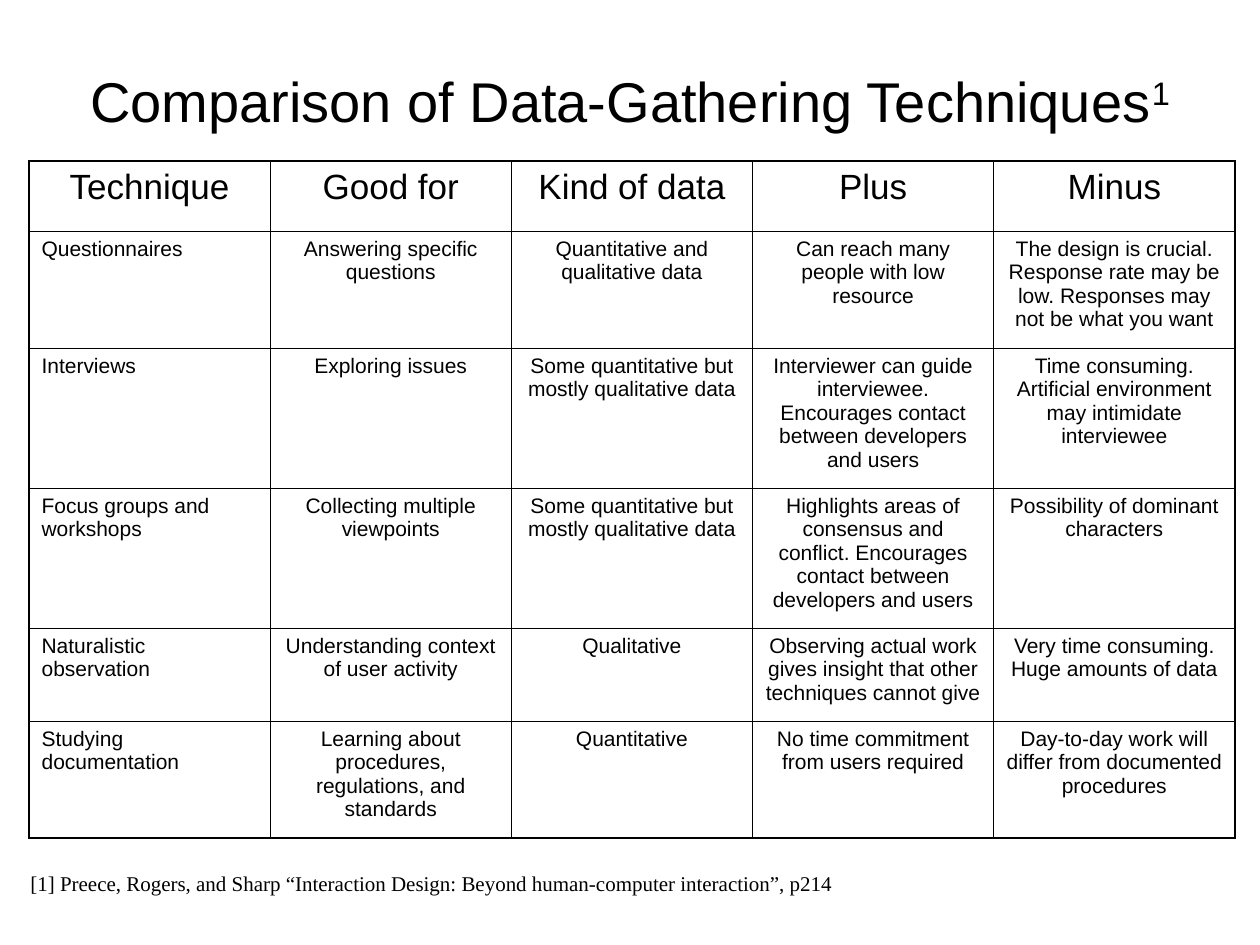
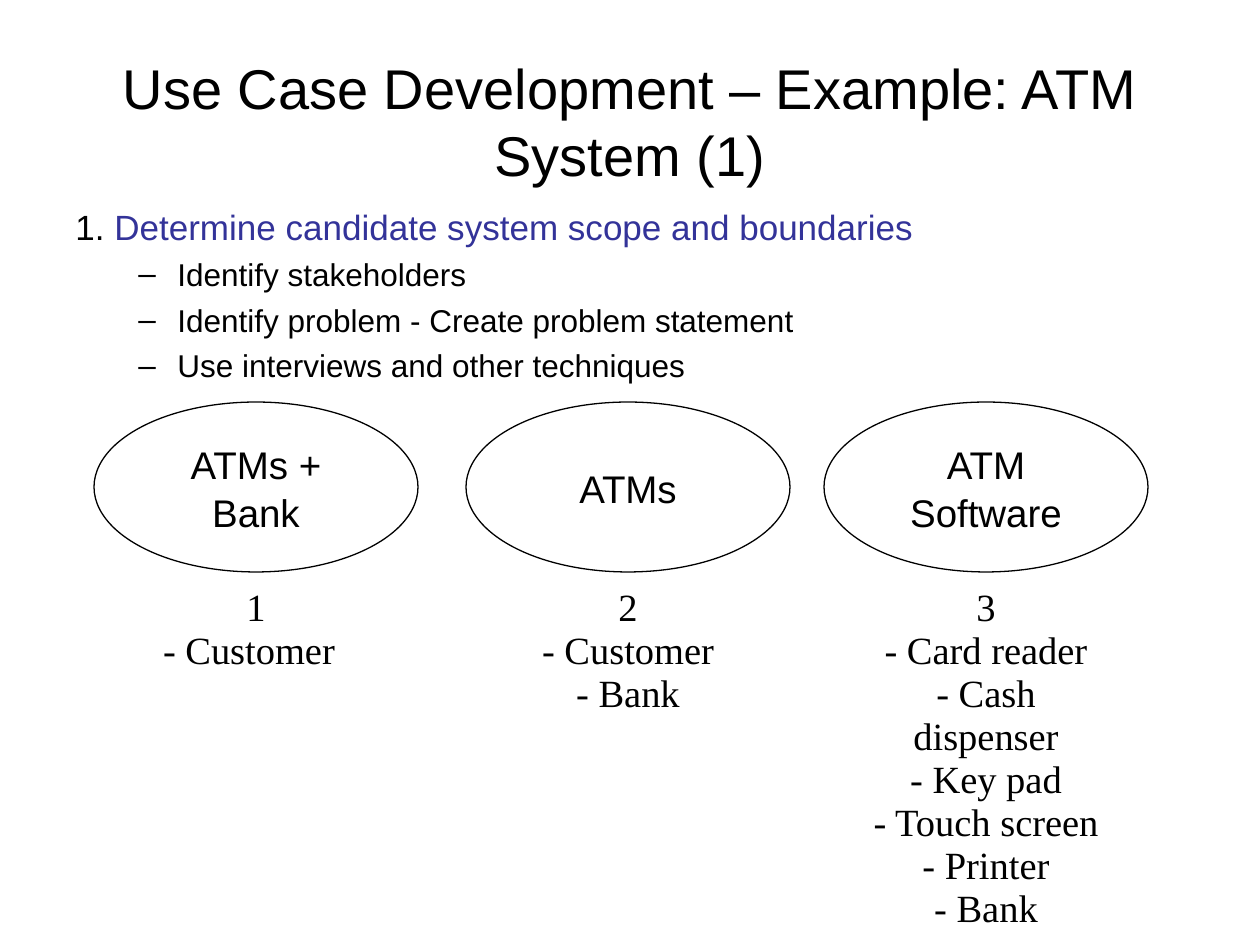
from lxml import etree
from pptx import Presentation
from pptx import util as u
from pptx.dml.color import RGBColor
from pptx.enum import shapes, text
from pptx.oxml import ns

COLORS = {"ink": "000000", "accent": "333399"}
SANS, SERIF = "Arial", "Times New Roman"
THIN, THICK = 0.45, 1.08
CENTER, LEFT = text.PP_ALIGN.CENTER, text.PP_ALIGN.LEFT

HEADINGS = ["Technique", "Good for", "Kind of data", "Plus", "Minus"]
TECHNIQUES = [
    ["Questionnaires", "Answering specific questions",
     "Quantitative and qualitative data",
     "Can reach many people with low resource",
     "The design is crucial. Response rate may be low. "
     "Responses may not be what you want"],
    ["Interviews", "Exploring issues",
     "Some quantitative but mostly qualitative data",
     "Interviewer can guide interviewee. "
     "Encourages contact between developers and users",
     "Time consuming. Artificial environment may intimidate interviewee"],
    ["Focus groups and workshops", "Collecting multiple viewpoints",
     "Some quantitative but mostly qualitative data",
     "Highlights areas of consensus and conflict. "
     "Encourages contact between developers and users",
     "Possibility of dominant characters"],
    ["Naturalistic observation", "Understanding context of user activity",
     "Qualitative",
     "Observing actual work gives insight that other techniques cannot give",
     "Very time consuming. Huge amounts of data"],
    ["Studying documentation",
     "Learning about procedures, regulations, and standards",
     "Quantitative", "No time commitment from users required",
     "Day-to-day work will differ from documented procedures"],
]
ROW_HEIGHTS = [70, 117, 140, 140, 93, 117]

STEPS = ["Identify stakeholders", "Identify problem - Create problem statement",
         "Use interviews and other techniques"]
SCOPES = [
    (94, "ATMs + Bank", 208, ["Customer"]),
    (466, "ATMs", 194, ["Customer", "Bank"]),
    (824, "ATM Software", 275, ["Card reader", "Cash dispenser", "Key pad",
                                "Touch screen", "Printer", "Bank"]),
]


def px(n):
    """Turn pixels at 126 to the inch into EMU."""
    return u.Emu(round(n * 914400 / 126))


def write(tf, content, size=12, font=SANS, color="ink", align=LEFT,
          spacing=None, before=0, sup=False, p=None):
    """Add a run to the given paragraph, or to a new one, and return it."""
    if p is None:
        p = tf.paragraphs[0]
        if p.runs:
            p = tf.add_paragraph()
        p.alignment = align
        p.space_before = u.Pt(before)
        if spacing:
            p.line_spacing = spacing
    r = p.add_run()
    r.text = content
    r.font.size = u.Pt(size)
    r.font.name = font
    r.font.color.rgb = RGBColor.from_string(COLORS[color])
    if sup:
        r.font._element.set("baseline", "30000")
    return p


def indent(p, left, hang, bullet=None):
    """Give a paragraph a hanging indent and an optional bullet sign."""
    pPr = p._p.get_or_add_pPr()
    pPr.set("marL", str(px(left)))
    pPr.set("indent", str(-px(hang)))
    if bullet:
        etree.SubElement(pPr, ns.qn("a:buFont"), typeface=SANS)
        etree.SubElement(pPr, ns.qn("a:buChar"), char=bullet)


def text_box(s, x, y, w, h):
    """Add a wrapping text box and return its frame."""
    tf = s.shapes.add_textbox(px(x), px(y), px(w), px(h)).text_frame
    tf.word_wrap = True
    return tf


def titled_slide(prs, title, top):
    """Add a title-only slide and return it with its title paragraph."""
    s = prs.slides.add_slide(prs.slide_layouts[5])
    sp = s.shapes.title
    sp.left, sp.top, sp.width, sp.height = px(63), px(top), px(1134), px(158)
    tf = sp.text_frame
    tf.auto_size = text.MSO_AUTO_SIZE.NONE
    tf.vertical_anchor = text.MSO_ANCHOR.MIDDLE
    return s, write(tf, title, size=32, align=CENTER)


def border(cell, side, width):
    """Draw one solid edge of a table cell."""
    ln = etree.SubElement(cell._tc.get_or_add_tcPr(), ns.qn(f"a:ln{side}"),
                          w=str(u.Pt(width)))
    fill = etree.SubElement(ln, ns.qn("a:solidFill"))
    etree.SubElement(fill, ns.qn("a:srgbClr"), val=COLORS["ink"])


def technique_table(s, x, y, w):
    """Place the comparison table with a thicker outer frame."""
    rows = [HEADINGS] + TECHNIQUES
    last_row, last_col = len(rows) - 1, len(HEADINGS) - 1
    table = s.shapes.add_table(len(rows), len(HEADINGS), px(x), px(y), px(w),
                               px(sum(ROW_HEIGHTS))).table
    table.first_row = table.horz_banding = False
    for i, row in enumerate(rows):
        table.rows[i].height = px(ROW_HEIGHTS[i])
        for j, content in enumerate(row):
            cell = table.cell(i, j)
            edges = {"L": j == 0, "R": j == last_col,
                     "T": i == 0, "B": i == last_row}
            for side, outer in edges.items():
                border(cell, side, THICK if outer else THIN)
            cell.fill.background()
            write(cell.text_frame, content, size=12 if i else 20,
                  align=LEFT if i and j == 0 else CENTER)


def comparison_slide(prs):
    """Build the slide that compares the techniques."""
    s, p = titled_slide(prs, "Comparison of Data-Gathering Techniques", 21)
    write(None, "1", size=32, sup=True, p=p)
    technique_table(s, 29, 161, 1206)
    write(text_box(s, 18, 864, 880, 40),
          "[1] Preece, Rogers, and Sharp “Interaction Design: "
          "Beyond human-computer interaction”, p214", font=SERIF)


def step_list(s, x, y, w, h):
    """Place the numbered step and its dashed points."""
    tf = text_box(s, x, y, w, h)
    p = write(tf, "1. ", size=20)
    write(tf, "Determine candidate system scope and boundaries", size=20,
          color="accent", p=p)
    indent(p, 48, 48)
    for step in STEPS:
        indent(write(tf, step, size=18, before=4.5), 102, 39, "–")


def scope(s, x, y, number, name, list_width, actors):
    """Place one system ellipse with its numbered actors centred below."""
    w, h = 324, 170
    sp = s.shapes.add_shape(shapes.MSO_SHAPE.OVAL, px(x), px(y), px(w), px(h))
    sp.shadow.inherit = False
    sp.fill.background()
    sp.line.color.rgb = RGBColor.from_string(COLORS["ink"])
    sp.line.width = u.Pt(0.75)
    tf = sp.text_frame
    tf.word_wrap = True
    tf.vertical_anchor = text.MSO_ANCHOR.MIDDLE
    write(tf, name, size=22, align=CENTER, spacing=1.04)

    tf = text_box(s, x + (w - list_width) / 2, y + h + 10, list_width, 306)
    tf.margin_left = tf.margin_right = px(11)
    tf.margin_top = tf.margin_bottom = px(5)
    tf.word_wrap = len(actors) == 1
    write(tf, str(number), size=22, font=SERIF, align=CENTER, spacing=0.93)
    for actor in actors:
        write(tf, f"- {actor}", size=22, font=SERIF, spacing=0.93,
              align=LEFT if len(actors) == 1 else CENTER)


def use_case_slide(prs):
    """Build the slide on the scope of the ATM system."""
    s, _ = titled_slide(
        prs, "Use Case Development – Example: ATM System (1)", 42)
    step_list(s, 63, 199, 1134, 200)
    for number, (x, name, width, actors) in enumerate(SCOPES, 1):
        scope(s, x, 402, number, name, width, actors)


def main():
    """Build and save the presentation."""
    prs = Presentation()
    prs.slide_width, prs.slide_height = px(1260), px(945)
    comparison_slide(prs)
    use_case_slide(prs)
    prs.save("out.pptx")


if __name__ == "__main__":
    main()
